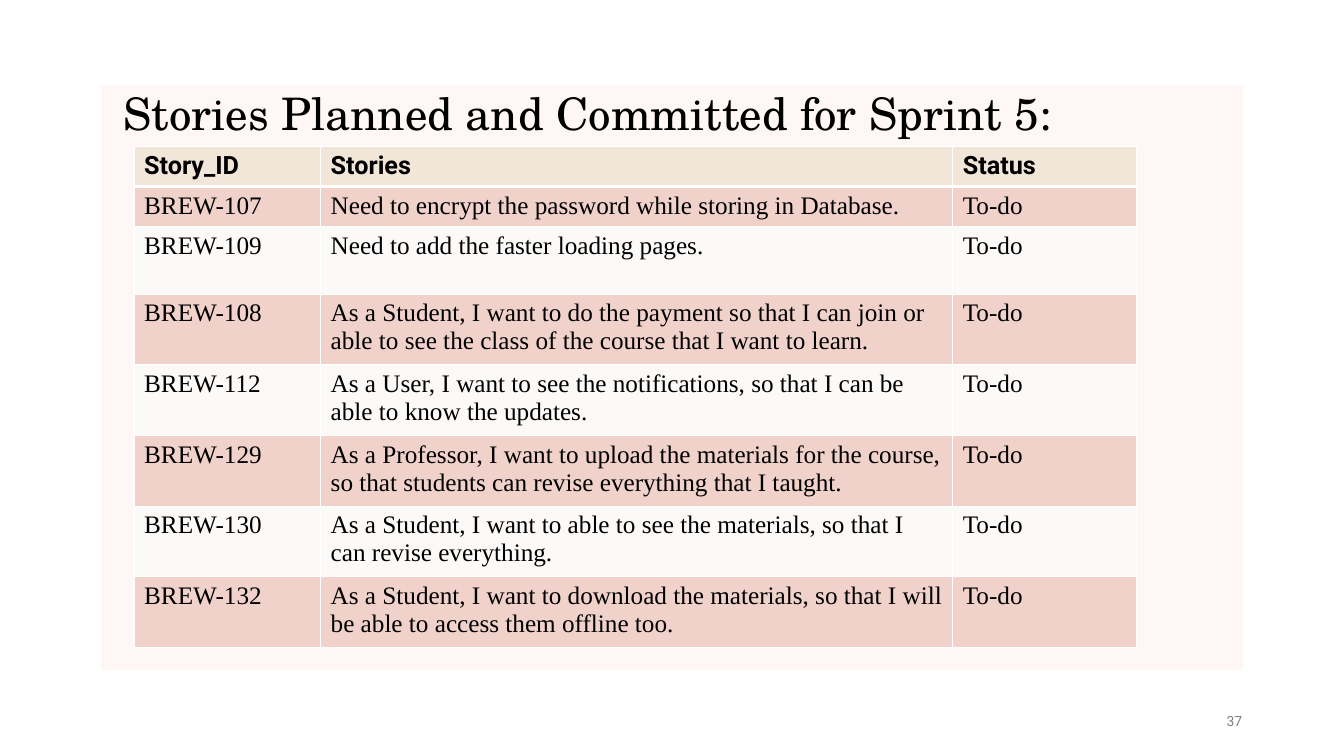
from typing import NamedTuple

import pptx
import pptx.dml.color
import pptx.enum.shapes
import pptx.enum.text
import pptx.oxml
import pptx.oxml.ns
import pptx.util
from lxml import etree

RGBColor = pptx.dml.color.RGBColor
BLACK = RGBColor(0x00, 0x00, 0x00)
GRAY = RGBColor(0x80, 0x80, 0x80)
WHITE = RGBColor(0xFF, 0xFF, 0xFF)
PANEL = RGBColor(0xFF, 0xF7, 0xF5)
HEADER = RGBColor(0xF2, 0xE6, 0xD8)
BANDS = (RGBColor(0xF1, 0xD2, 0xCB), RGBColor(0xFC, 0xFA, 0xF8))

EMU_PER_PX = 9144  # 100 px to the inch
COLUMN_WIDTHS = (185, 627, 182)
ROW_HEIGHTS = (39, 37, 67, 67, 67, 69, 67, 67)


class Story(NamedTuple):
    story_id: str
    text: str
    status: str = "To-do"


class Label(NamedTuple):
    text: str
    area: tuple[int, int, int, int]
    font: str
    size: int
    color: RGBColor
    align: pptx.enum.text.PP_ALIGN
    line_spacing: float


HEADINGS = Story("Story_ID", "Stories", "Status")
STORIES = (
    Story("BREW-107", "Need to encrypt the password while storing in Database."),
    Story("BREW-109", "Need to add the faster loading pages."),
    Story("BREW-108", "As a Student, I want to do the payment so that I can join or "
          "able to see the class of the course that I want to learn."),
    Story("BREW-112", "As a User, I want to see the notifications, so that I can be "
          "able to know the updates."),
    Story("BREW-129", "As a Professor, I want to upload the materials for the course, "
          "so that students can revise everything that I taught."),
    Story("BREW-130", "As a Student, I want to able to see the materials, so that I "
          "can revise everything."),
    Story("BREW-132", "As a Student, I want to download the materials, so that I will "
          "be able to access them offline too."),
)
LABELS = (
    Label("37", (942, 695, 300, 40), "Roboto", 10, GRAY,
          pptx.enum.text.PP_ALIGN.RIGHT, 1.0),
    Label("Stories Planned and Committed for Sprint 5:", (113, 93, 1200, 44),
          "TeX Gyre Schola", 32, BLACK, pptx.enum.text.PP_ALIGN.LEFT, 0.9),
)


def px(length: int) -> pptx.util.Emu:
    return pptx.util.Emu(length * EMU_PER_PX)


def style_font(font, name: str, size: int, color: RGBColor, bold: bool = False) -> None:
    font.name = name
    font.size = pptx.util.Pt(size)
    font.bold = bold
    font.color.rgb = color


def add_panel(slide) -> None:
    panel = slide.shapes.add_shape(
        pptx.enum.shapes.MSO_SHAPE.RECTANGLE, px(100), px(85), px(1133), px(580))
    panel.shadow.inherit = False
    panel.fill.solid()
    panel.fill.fore_color.rgb = PANEL
    panel.line.fill.background()
    color = panel.fill._xPr.find(".//" + pptx.oxml.ns.qn("a:srgbClr"))
    etree.SubElement(color, pptx.oxml.ns.qn("a:alpha"), val="95000")


def add_label(slide, label: Label) -> None:
    box = slide.shapes.add_textbox(*map(px, label.area))
    frame = box.text_frame
    frame.word_wrap = True
    frame.vertical_anchor = pptx.enum.text.MSO_ANCHOR.MIDDLE
    frame.text = label.text
    para = frame.paragraphs[0]
    para.alignment = label.align
    para.line_spacing = label.line_spacing
    style_font(para.runs[0].font, label.font, label.size, label.color)


def set_borders(cell, top: int, bottom: int) -> None:
    """Draw white borders; top and bottom are widths in points, the sides 1 point."""
    properties = cell._tc.get_or_add_tcPr()
    widths = {"lnL": 1, "lnR": 1, "lnT": top, "lnB": bottom}
    for position, (side, width) in enumerate(widths.items()):
        properties.insert(position, pptx.oxml.parse_xml(
            f'<a:{side} {pptx.oxml.ns.nsdecls("a")} w="{pptx.util.Pt(width)}">'
            f'<a:solidFill><a:srgbClr val="{WHITE}"/></a:solidFill></a:{side}>'))


def add_story_table(slide) -> None:
    rows = (HEADINGS, *STORIES)
    table = slide.shapes.add_table(
        len(rows), len(COLUMN_WIDTHS), px(133), px(145),
        px(sum(COLUMN_WIDTHS)), px(sum(ROW_HEIGHTS))).table
    for column, width in zip(table.columns, COLUMN_WIDTHS):
        column.width = px(width)
    for index, (story, height) in enumerate(zip(rows, ROW_HEIGHTS)):
        is_header = index == 0
        table.rows[index].height = px(height)
        for cell, text in zip(table.rows[index].cells, story):
            cell.text = text
            style_font(cell.text_frame.paragraphs[0].runs[0].font,
                       "Roboto" if is_header else "Times New Roman", 18, BLACK, is_header)
            cell.fill.solid()
            cell.fill.fore_color.rgb = HEADER if is_header else BANDS[(index - 1) % 2]
            set_borders(cell, top=3 if index == 1 else 1, bottom=3 if is_header else 1)


def main() -> None:
    deck = pptx.Presentation()
    deck.slide_width, deck.slide_height = px(1333), px(750)
    slide = deck.slides.add_slide(deck.slide_layouts[6])
    add_panel(slide)
    for label in LABELS:
        add_label(slide, label)
    add_story_table(slide)
    deck.save("out.pptx")


if __name__ == "__main__":
    main()
